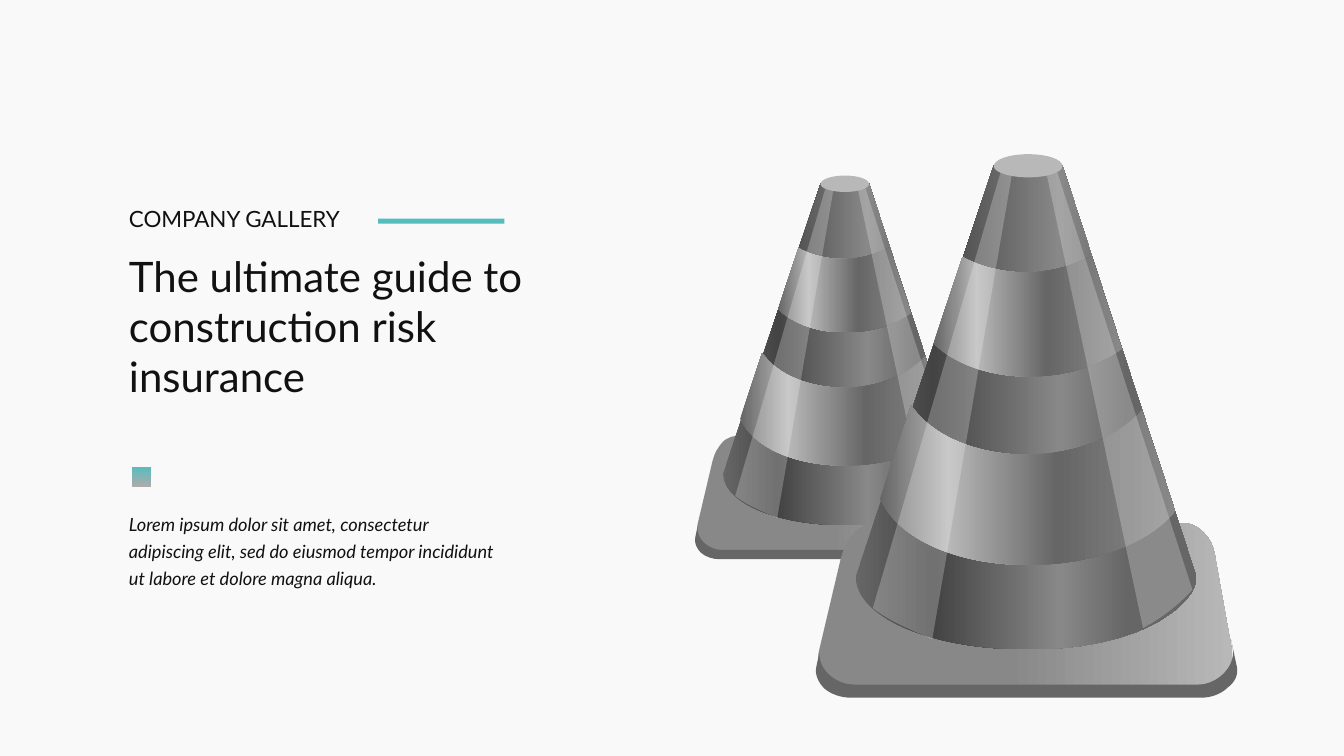
"""Build the construction risk slide with two traffic cones."""
from dataclasses import dataclass

from lxml import etree
from pptx import Presentation
from pptx.dml import color
from pptx.enum import shapes, text
from pptx.oxml import ns
from pptx.util import Cm, Pt


@dataclass(frozen=True)
class Theme:
    """Hold the colours, font and type sizes of the slide."""
    background: str = "F9F9F9"
    ink: str = "111111"
    accent: str = "56BDBD"
    rim: str = "666666"
    cap: str = "B8B8B8"
    plate: tuple = ((46, "888888"), (100, "B8B8B8"))
    body: tuple = ((0, "666666"), (23, "444444"), (60, "888888"), (80, "666666"))
    band: tuple = ((0, "666666"), (23, "B8B8B8"), (60, "666666"), (100, "888888"))
    marker: tuple = ((0, "56BDBD"), (100, "AEABAB"))
    font: str = "Lato"
    title_size: int = 30
    label_size: int = 16
    body_size: int = 13


THEME = Theme()
GRID_UNIT = Cm(10.62) / 418
CURVE_STEPS = 20

PLATE = [(-198, 520), (-191, 526, -182, 530, -173, 530), (169, 530),
         (178, 530, 187, 526, 193, 520), (198, 515, 202, 509, 203, 502),
         (203, 499, 203, 497, 202, 494), (186, 405),
         (185, 397, 183, 390, 179, 384), (173, 376, 166, 370, 156, 369),
         (-152, 369), (-164, 369, -172, 376, -178, 386),
         (-182, 391, -184, 398, -186, 405), (-207, 494),
         (-208, 497, -208, 499, -208, 502), (-207, 509, -203, 515, -198, 520)]
RIM = [(-202, 533), (-195, 539, -185, 542, -176, 542), (172, 542),
       (182, 542, 192, 538, 198, 532), (205, 527, 209, 519, 207, 511),
       (201, 483), (203, 493), (206, 512, 187, 529, 169, 529), (-173, 529),
       (-190, 529, -208, 515, -207, 497), (-210, 511),
       (-212, 519, -208, 527, -202, 533)]
BODY = [(-171, 422), (-171, 443, -150, 462, -117, 475),
        (-87, 487, -47, 494, -2, 494), (4, 494, 9, 494, 15, 494),
        (64, 492, 102, 482, 130, 466), (150, 454, 167, 438, 167, 422),
        (164, 413), (34, 14), (33, 16, 30, 18, 27, 20),
        (21, 23, 13, 24, 4, 25), (-5, 25, -13, 24, -22, 22),
        (-28, 20, -32, 18, -33, 14), (-34, 14), (-168, 413)]
WIDE_BAND = [(146, 357), (84, 432, -108, 428, -147, 345), (-116, 252),
             (-72, 316, 60, 317, 113, 257)]
NARROW_BAND = [(93, 196), (41, 234, -49, 233, -94, 191), (-65, 105),
               (-27, 126, 24, 125, 63, 104)]
RIGHT_SHINE = [(28, 18), (26, 19, 22, 21, 18, 21), (114, 473),
               (136, 461, 150, 449, 163, 435)]
LEFT_SHINE = [(-27, 20), (-154, 453), (-138, 466, -118, 474, -95, 484),
              (-16, 23), (-20, 23, -24, 22, -27, 20)]
CAP = [(0, 3), (19, 3, 34, 8, 34, 15), (34, 21, 19, 26, 0, 26),
       (-18, 26, -34, 21, -34, 15), (-34, 8, -18, 3, 0, 3)]


def bounds(outline):
    """Return left, top, right and bottom of an outline, bulges included."""
    points = [outline[0]]
    for segment in outline[1:]:
        if len(segment) == 2:
            points.append(segment)
            continue
        controls = (*points[-1], *segment)
        for step in range(1, CURVE_STEPS + 1):
            t = step / CURVE_STEPS
            weights = ((1 - t) ** 3, 3 * t * (1 - t) ** 2, 3 * t * t * (1 - t), t ** 3)
            points.append(tuple(sum(w * c for w, c in zip(weights, controls[axis::2]))
                                for axis in (0, 1)))
    across, down = zip(*points)
    return min(across), min(down), max(across), max(down)


def add_outline(group, outline, axis, top, unit):
    """Add a freeform whose six-number segments are Bézier curves."""
    outline = [tuple(round((axis, top)[i % 2] + value * unit)
                     for i, value in enumerate(segment)) for segment in outline]
    builder = group.shapes.build_freeform(*outline[0])
    builder.add_line_segments([segment[-2:] for segment in outline[1:]], close=True)
    shape = builder.convert_to_shape()
    left, upper, right, lower = (round(edge) for edge in bounds(outline))
    shape.left, shape.top = left, upper
    shape.width, shape.height = right - left, lower - upper
    contour = shape.element.spPr.find(".//" + ns.qn("a:path"))
    contour.set("w", str(right - left))
    contour.set("h", str(lower - upper))
    for command, segment in zip(contour, outline):
        if len(segment) == 6:
            command.tag = ns.qn("a:cubicBezTo")
        for point in list(command):
            command.remove(point)
        for x, y in zip(segment[::2], segment[1::2]):
            etree.SubElement(command, ns.qn("a:pt"), x=str(x - left), y=str(y - upper))
    return shape


def paint(shape, fill, angle=0, opacity=100):
    """Fill a shape with a colour or gradient stops, without line or shadow."""
    shape.shadow.inherit = False
    shape.line.fill.background()
    if isinstance(fill, str):
        shape.fill.solid()
        shape.fill.fore_color.rgb = color.RGBColor.from_string(fill)
        if opacity < 100:
            fill_color = shape.element.spPr.find(".//" + ns.qn("a:srgbClr"))
            etree.SubElement(fill_color, ns.qn("a:alpha"), val=str(opacity * 1000))
        return
    shape.fill.gradient()
    shape.fill.gradient_angle = angle
    stops = shape.element.spPr.find(".//" + ns.qn("a:gsLst"))
    for stop in list(stops):
        stops.remove(stop)
    for position, value in fill:
        stop = etree.SubElement(stops, ns.qn("a:gs"), pos=str(position * 1000))
        etree.SubElement(stop, ns.qn("a:srgbClr"), val=value)


def add_cone(slide, axis, top, scale):
    """Draw one traffic cone as a group around its vertical axis."""
    group = slide.shapes.add_group_shape()
    for outline, fill, opacity in (
            (PLATE, THEME.plate, 100), (RIM, THEME.rim, 100), (BODY, THEME.body, 100),
            (WIDE_BAND, THEME.band, 100), (NARROW_BAND, THEME.band, 100),
            (RIGHT_SHINE, THEME.background, 25), (LEFT_SHINE, THEME.background, 25),
            (CAP, THEME.cap, 100)):
        shape = add_outline(group, outline, axis, top, GRID_UNIT * scale)
        paint(shape, fill, opacity=opacity)


def add_rectangle(slide, box, fill, angle=0):
    """Draw a plain rectangle."""
    rectangle = slide.shapes.add_shape(
        shapes.MSO_SHAPE.RECTANGLE, *(Cm(length) for length in box))
    paint(rectangle, fill, angle)


def write(shape, box, content, size, italic=False, wrap=True, spacing=None):
    """Place a text shape and write one left-aligned paragraph in it."""
    shape.left, shape.top, shape.width, shape.height = (Cm(length) for length in box)
    frame = shape.text_frame
    frame.margin_left = frame.margin_top = frame.margin_right = frame.margin_bottom = 0
    frame.word_wrap = wrap
    frame.auto_size = text.MSO_AUTO_SIZE.SHAPE_TO_FIT_TEXT
    frame.vertical_anchor = text.MSO_ANCHOR.TOP
    paragraph = frame.paragraphs[0]
    paragraph.alignment = text.PP_ALIGN.LEFT
    paragraph.line_spacing = spacing
    run = paragraph.add_run()
    run.text = content
    run.font.name = THEME.font
    run.font.size = Pt(size)
    run.font.italic = italic
    run.font.color.rgb = color.RGBColor.from_string(THEME.ink)


def main():
    """Build and save the slide."""
    presentation = Presentation()
    presentation.slide_width, presentation.slide_height = Cm(33.87), Cm(19.05)
    slide = presentation.slides.add_slide(presentation.slide_layouts[5])
    slide.background.fill.solid()
    slide.background.fill.fore_color.rgb = color.RGBColor.from_string(THEME.background)
    add_cone(slide, Cm(21.29), Cm(4.37), 0.706)
    add_cone(slide, Cm(25.91), Cm(3.81), 1)
    write(slide.shapes.title, (3.25, 6.3, 11.86, 3.84),
          "The ultimate guide to construction risk insurance", THEME.title_size)
    write(slide.shapes.add_textbox(0, 0, 0, 0), (3.25, 5.16, 5.54, 0.69),
          "COMPANY GALLERY", THEME.label_size, wrap=False)
    add_rectangle(slide, (9.53, 5.51, 3.18, 0.13), THEME.accent)
    add_rectangle(slide, (3.33, 11.76, 0.48, 0.5), THEME.marker, angle=270)
    write(slide.shapes.add_textbox(0, 0, 0, 0), (3.25, 12.79, 9.45, 2.08),
          "Lorem ipsum dolor sit amet, consectetur adipiscing elit, sed do eiusmod "
          "tempor incididunt ut labore et dolore magna aliqua.",
          THEME.body_size, italic=True, spacing=1.25)
    presentation.save("out.pptx")


if __name__ == "__main__":
    main()
